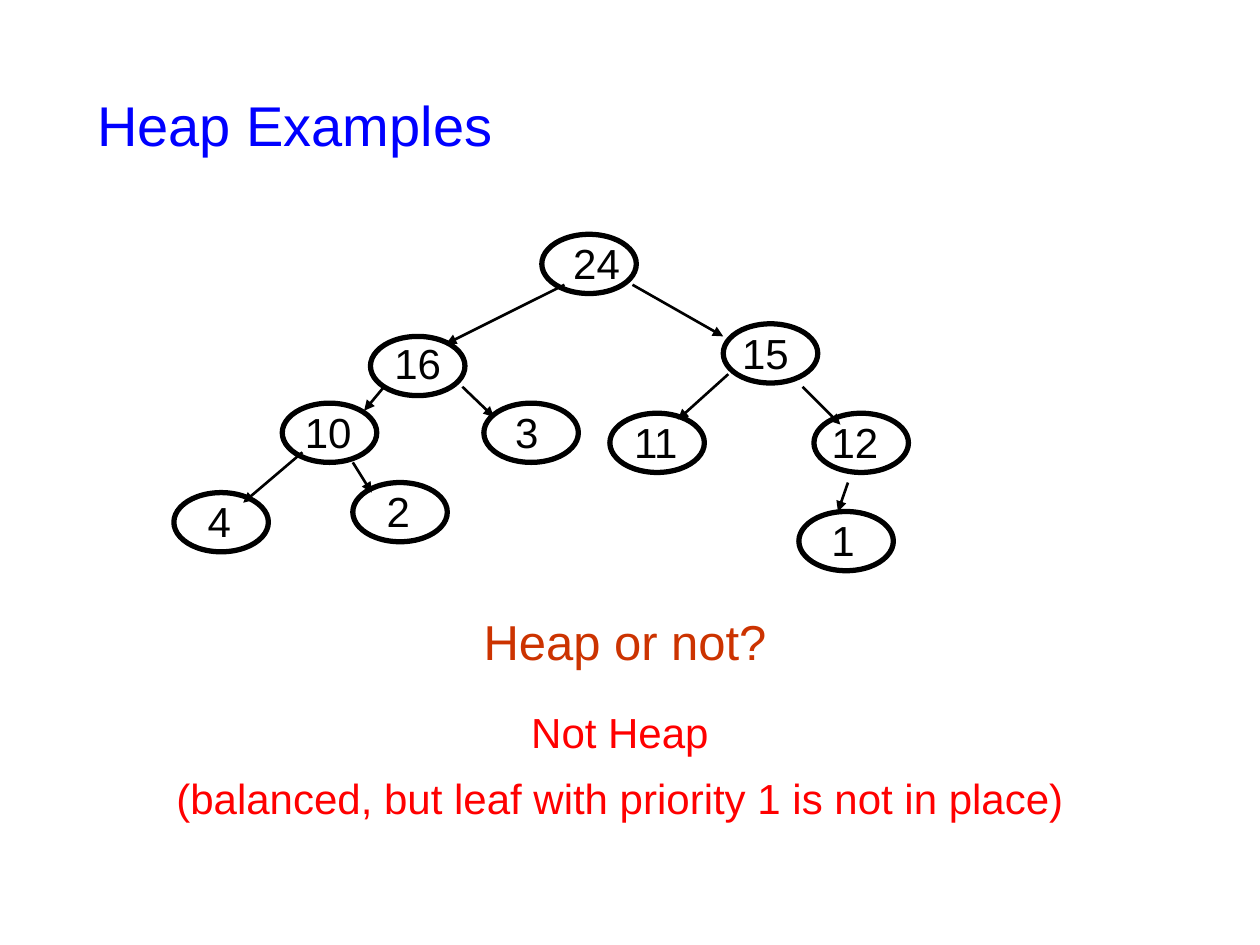
"""Build a slide that shows a binary tree and asks whether it is a heap."""
from dataclasses import dataclass

from lxml import etree
from pptx import Presentation
from pptx import util as u
from pptx.dml.color import RGBColor
from pptx.enum import shapes, text
from pptx.oxml.ns import qn


@dataclass(frozen=True)
class Theme:
    font: str = "Arial"
    ink: str = "000000"
    title: str = "0000FF"
    question: str = "CC3300"
    answer: str = "FF0000"
    title_size: float = 32
    question_size: float = 28
    text_size: float = 24
    node_line: float = 3
    edge_line: float = 1.5


THEME = Theme()
NODE_SIZE = (0.75, 0.47)
LABEL_HEIGHT = 0.49
LABEL_WIDTHS = {1: 0.38, 2: 0.57}

# value, node left and top, label left and top
NODES = [
    ("24", (4.3, 1.86), (4.45, 1.86)),
    ("16", (2.94, 2.67), (3.03, 2.65)),
    ("15", (5.74, 2.57), (5.79, 2.57)),
    ("10", (2.24, 3.2), (2.32, 3.2)),
    ("3", (3.84, 3.2), (3.99, 3.2)),
    ("11", (4.84, 3.28), (4.92, 3.28)),
    ("12", (6.46, 3.28), (6.5, 3.28)),
    ("4", (1.38, 3.91), (1.55, 3.91)),
    ("2", (2.8, 3.83), (2.97, 3.83)),
    ("1", (6.34, 4.06), (6.5, 4.06)),
]
EDGES = [
    ((4.48, 2.26), (3.54, 2.73)),
    ((5.02, 2.26), (5.74, 2.67)),
    ((3.04, 3.08), (2.89, 3.26)),
    ((3.67, 3.07), (3.92, 3.31)),
    ((5.78, 2.97), (5.38, 3.33)),
    ((6.37, 3.07), (6.67, 3.37)),
    ((2.4, 3.59), (1.93, 3.99)),
    ((2.8, 3.67), (2.95, 3.91)),
    ((6.73, 3.83), (6.65, 4.06)),
]


def inches(*lengths):
    return [u.Inches(length) for length in lengths]


def place(shape, left, top, width, height):
    shape.left, shape.top, shape.width, shape.height = inches(left, top, width, height)


def write(paragraph, content, size=THEME.text_size, color=THEME.ink,
          align=text.PP_ALIGN.CENTER, spacing=0.97, before=0):
    paragraph.text = content
    paragraph.alignment = align
    paragraph.line_spacing = spacing
    paragraph.space_before = u.Pt(before)
    font = paragraph.font
    font.name, font.size = THEME.font, u.Pt(size)
    font.color.rgb = RGBColor.from_string(color)


def remove_bullet(paragraph):
    properties = paragraph._p.get_or_add_pPr()
    properties.set("marL", "0")
    properties.set("indent", "0")
    etree.SubElement(properties, qn("a:buNone"))


def add_label(slide, content, left, top, width, height, wrap=False, **style):
    box = slide.shapes.add_textbox(*inches(left, top, width, height))
    box.text_frame.word_wrap = wrap
    write(box.text_frame.paragraphs[0], content, **style)


def add_node(slide, left, top):
    node = slide.shapes.add_shape(shapes.MSO_SHAPE.OVAL, *inches(left, top, *NODE_SIZE))
    node.shadow.inherit = False
    node.fill.background()
    node.line.color.rgb = RGBColor.from_string(THEME.ink)
    node.line.width = u.Pt(THEME.node_line)


def add_edge(slide, start, end):
    edge = slide.shapes.add_connector(shapes.MSO_CONNECTOR.STRAIGHT, *inches(*start, *end))
    edge.line.color.rgb = RGBColor.from_string(THEME.ink)
    edge.line.width = u.Pt(THEME.edge_line)
    etree.SubElement(edge.line._get_or_add_ln(), qn("a:tailEnd"), type="triangle")
    etree.SubElement(edge._element.spPr, qn("a:effectLst"))


def fill_title(slide, content):
    title = slide.shapes.title
    place(title, 0.67, 0.3, 8.25, 1.42)
    title.text_frame.auto_size = text.MSO_AUTO_SIZE.NONE
    title.text_frame.vertical_anchor = text.MSO_ANCHOR.MIDDLE
    write(title.text_frame.paragraphs[0], content, size=THEME.title_size,
          color=THEME.title, align=text.PP_ALIGN.LEFT)


def fill_answer(slide, verdict, reason):
    body = slide.placeholders[1]
    place(body, 0.42, 5.58, 9, 1.23)
    frame = body.text_frame
    frame.auto_size = text.MSO_AUTO_SIZE.NONE
    first, second = frame.paragraphs[0], frame.add_paragraph()
    for paragraph in (first, second):
        remove_bullet(paragraph)
    write(first, verdict, color=THEME.answer)
    write(second, reason, color=THEME.answer, spacing=1.0, before=8.4)


def main():
    presentation = Presentation()
    presentation.slide_width, presentation.slide_height = inches(10, 7.5)
    slide = presentation.slides.add_slide(presentation.slide_layouts[1])
    fill_title(slide, "Heap Examples")
    fill_answer(slide, "Not Heap", "(balanced, but leaf with priority 1 is not in place)")
    for _, corner, _ in NODES:
        add_node(slide, *corner)
    for start, end in EDGES:
        add_edge(slide, start, end)
    for value, _, corner in NODES:
        add_label(slide, value, *corner, LABEL_WIDTHS[len(value)], LABEL_HEIGHT)
    add_label(slide, "Heap or not?", 2.5, 4.83, 4.92, 0.65, wrap=True,
              size=THEME.question_size, color=THEME.question)
    presentation.save("out.pptx")


if __name__ == "__main__":
    main()
